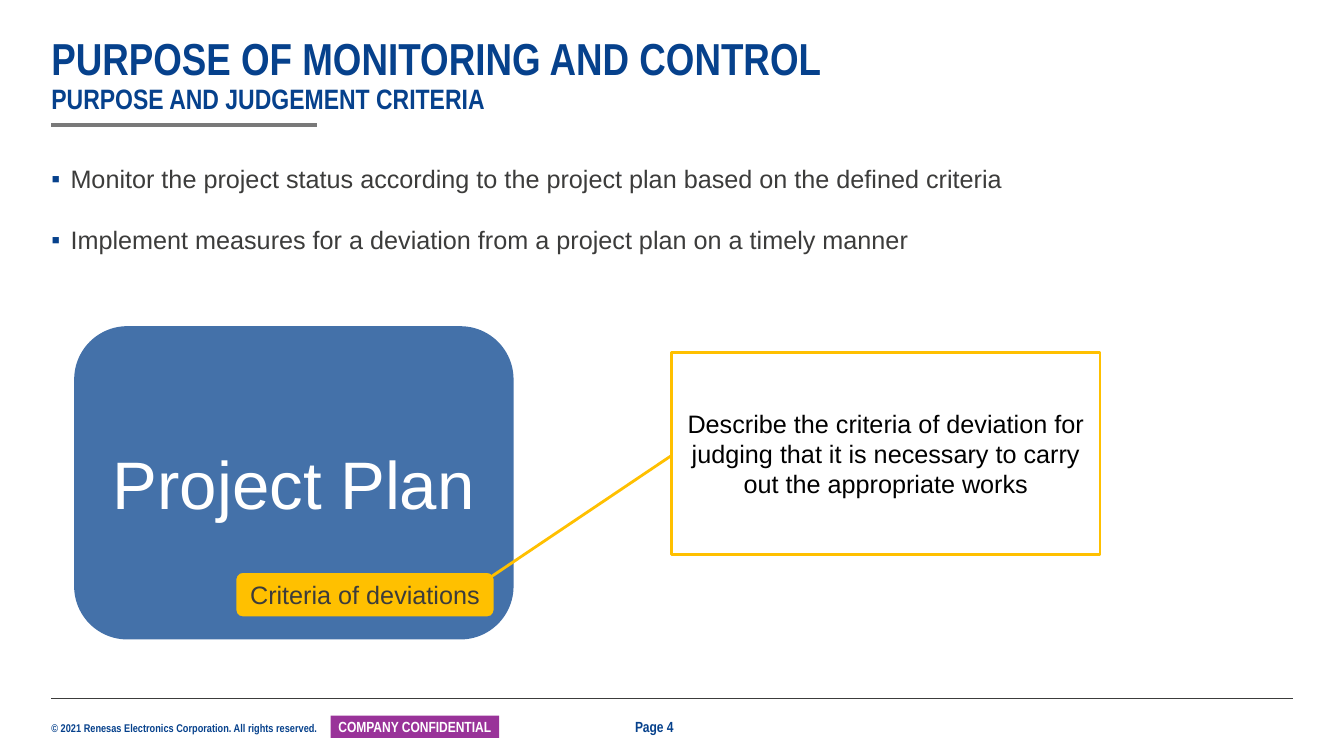
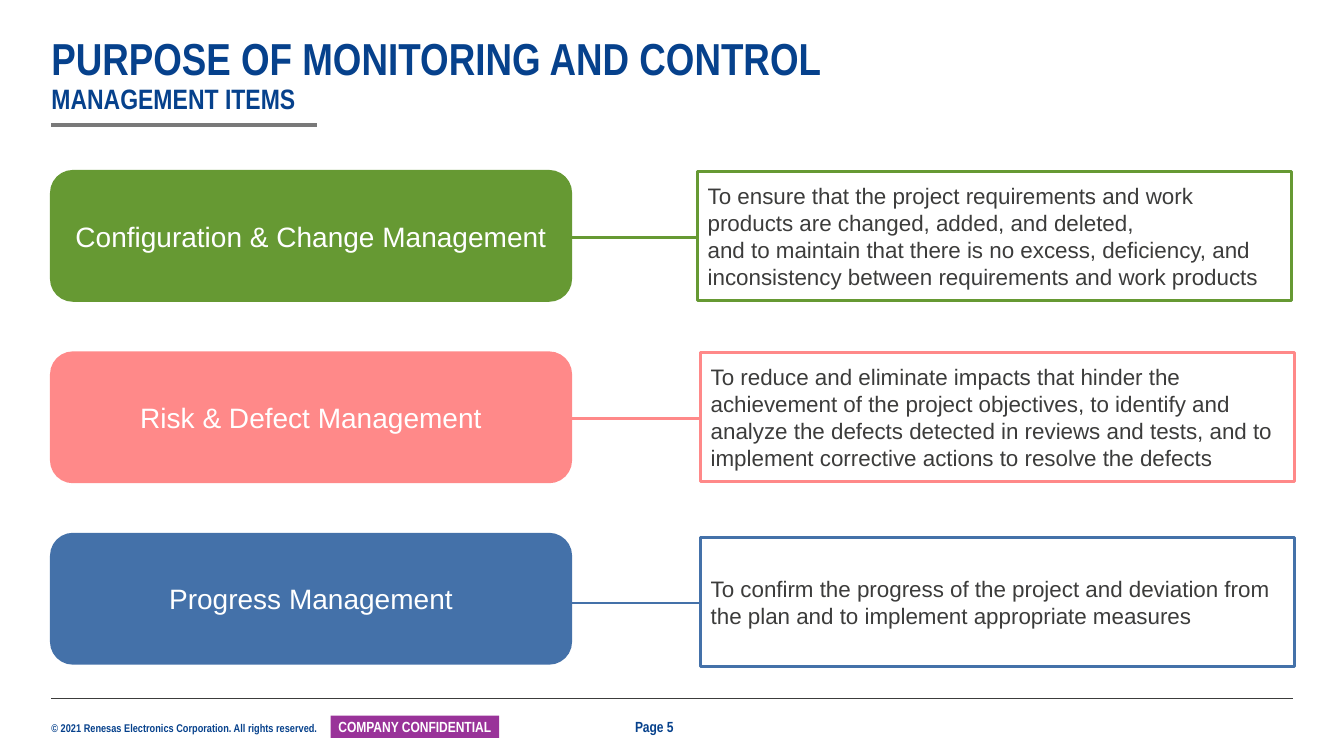
from dataclasses import dataclass
from typing import Optional

from lxml.etree import SubElement
from pptx import Presentation
from pptx.dml.color import RGBColor
from pptx.enum.shapes import MSO_CONNECTOR, MSO_SHAPE
from pptx.enum.text import MSO_ANCHOR, PP_ALIGN
from pptx.oxml.ns import qn
from pptx.util import Pt

PX = 9144
WIDE, HIGH = 1333, 750
LEFT, SPAN = 51, 1230

NAVY = RGBColor(0x06, 0x41, 0x8C)
INK = RGBColor(0x3C, 0x3C, 0x3B)
GREY = RGBColor(0x79, 0x79, 0x79)
PLUM = RGBColor(0x99, 0x33, 0x99)
WHITE = RGBColor(0xFF, 0xFF, 0xFF)
BLACK = RGBColor(0, 0, 0)
BLUE = RGBColor(0x44, 0x71, 0xA9)
GREEN = RGBColor(0x66, 0x99, 0x33)
PINK = RGBColor(0xFF, 0x89, 0x89)
GOLD = RGBColor(0xFF, 0xC0, 0x00)

SANS, SLIM = "Arial", "Arial Narrow"
ROUND, NOTE = MSO_SHAPE.ROUNDED_RECTANGLE, MSO_SHAPE.LINE_CALLOUT_1


@dataclass(frozen=True)
class Box:
    x: int
    y: int
    w: int
    h: int

    def place(self) -> tuple[int, ...]:
        return tuple(n * PX for n in (self.x, self.y, self.w, self.h))


@dataclass(frozen=True)
class Item:
    name: str
    goal: str
    tint: RGBColor
    x: int
    drop: int = 0


ITEMS = (
    Item("Configuration & Change Management",
         "To ensure that the project requirements and work products are "
         "changed, added, and deleted,\n"
         "and to maintain that there is no excess, deficiency, and "
         "inconsistency between requirements and work products",
         GREEN, 692),
    Item("Risk & Defect Management",
         "To reduce and eliminate impacts that hinder the achievement of the "
         "project objectives, to identify and analyze the defects detected in "
         "reviews and tests, and to implement corrective actions to resolve "
         "the defects",
         PINK, 695),
    Item("Progress Management",
         "To confirm the progress of the project and deviation from the plan "
         "and to implement appropriate measures",
         BLUE, 695, 3),
)


def mark(par, sign: str, tint: RGBColor, dent: int) -> None:
    props = par._p.get_or_add_pPr()
    props.set("marL", str(dent * PX))
    props.set("indent", str(-dent * PX))
    hue = SubElement(props, qn("a:buClr"))
    SubElement(hue, qn("a:srgbClr")).set("val", str(tint))
    SubElement(props, qn("a:buFont")).set("typeface", SANS)
    SubElement(props, qn("a:buChar")).set("char", sign)


def write(shape, text: str, *, size: float, tint: RGBColor, face: str = SANS,
          bold: bool = False, sub: Optional[float] = None,
          side: PP_ALIGN = PP_ALIGN.LEFT, hold: MSO_ANCHOR = MSO_ANCHOR.TOP,
          pad: tuple[int, int] = (10, 5), lead: float = 1.0, gap: int = 0,
          sign: str = "") -> None:
    frame = shape.text_frame
    frame.word_wrap = True
    frame.vertical_anchor = hold
    frame.margin_left = frame.margin_right = pad[0] * PX
    frame.margin_top = frame.margin_bottom = pad[1] * PX
    for i, part in enumerate(text.split("\n")):
        par = frame.add_paragraph() if i else frame.paragraphs[0]
        par.alignment, par.line_spacing = side, lead
        par.space_after = Pt(gap)
        if sign:
            mark(par, sign, NAVY, 19)
        for j, line in enumerate(part.split("\v")):
            if j:
                par.add_line_break()
            run = par.add_run()
            run.text = line
            font = run.font
            font.size = Pt(sub if j and sub else size)
            font.name, font.bold = face, bold
            font.color.rgb = tint


def label(slide, box: Box, text: str, **form) -> None:
    write(slide.shapes.add_textbox(*box.place()), text, **form)


def block(slide, kind: MSO_SHAPE, box: Box, text: str, *,
          fill: Optional[RGBColor] = None, edge: Optional[RGBColor] = None,
          bends: tuple[float, ...] = (), **form) -> None:
    shape = slide.shapes.add_shape(kind, *box.place())
    shape.shadow.inherit = False
    if fill is None:
        shape.fill.background()
    else:
        shape.fill.solid()
        shape.fill.fore_color.rgb = fill
    if edge is None:
        shape.line.fill.background()
    else:
        shape.line.color.rgb = edge
        shape.line.width = Pt(2)
    for i, bend in enumerate(bends):
        shape.adjustments[i] = bend
    write(shape, text, hold=MSO_ANCHOR.MIDDLE, **form)


def rule(slide, x: int, y: int, span: int, tint: RGBColor, width: float) -> None:
    line = slide.shapes.add_connector(
        MSO_CONNECTOR.STRAIGHT, x * PX, y * PX, (x + span) * PX, y * PX)
    line.line.color.rgb = tint
    line.line.width = Pt(width)
    SubElement(line._element.spPr, qn("a:effectLst"))


def start(deck, page: int, topic: str):
    slide = deck.slides.add_slide(deck.slide_layouts[6])
    slim = dict(face=SLIM, bold=True)
    label(slide, Box(LEFT, 716, 273, 13),
          "© 2021 Renesas Electronics Corporation. All rights reserved.",
          size=8, tint=NAVY, pad=(0, 0), **slim)
    rule(slide, LEFT, 693, SPAN + 1, INK, 0.5)
    block(slide, MSO_SHAPE.RECTANGLE, Box(328, 710, 167, 22),
          "COMPANY CONFIDENTIAL", fill=PLUM, size=10.5, tint=WHITE,
          side=PP_ALIGN.CENTER, pad=(4, 0), **slim)
    rule(slide, LEFT, 124, 263, GREY, 3)
    label(slide, Box(620, 707, 67, 28), f"Page {page}",
          size=10.5, tint=NAVY, **slim)
    label(slide, Box(LEFT, 36, SPAN, 79),
          f"PURPOSE OF MONITORING AND CONTROL\v{topic}",
          size=32, sub=20, tint=NAVY, pad=(0, 0), lead=0.9,
          hold=MSO_ANCHOR.BOTTOM, **slim)
    return slide


def draw_plan(deck) -> None:
    slide = start(deck, 4, "PURPOSE AND JUDGEMENT CRITERIA")
    label(slide, Box(LEFT, 156, SPAN, 95),
          "Monitor the project status according to the project plan based on "
          "the defined criteria\n"
          "Implement measures for a deviation from a project plan on a timely "
          "manner",
          size=18, tint=INK, pad=(0, 0), lead=1.2, gap=18, sign="▪")
    mid = PP_ALIGN.CENTER
    block(slide, ROUND, Box(75, 325, 433, 308), "Project Plan",
          fill=BLUE, edge=BLUE, size=48, tint=WHITE, side=mid)
    block(slide, ROUND, Box(233, 567, 258, 46), "Criteria of deviations",
          fill=GOLD, edge=BLUE, size=18, tint=INK, side=mid)
    block(slide, NOTE, Box(666, 350, 425, 200),
          "Describe the criteria of deviation for judging that it is "
          "necessary to carry out the appropriate works",
          edge=GOLD, bends=(0.51, 0, 1.11, -0.42),
          size=18, tint=BLACK, side=mid)


def draw_items(deck) -> None:
    slide = start(deck, 5, "MANAGEMENT ITEMS")
    for i, item in enumerate(ITEMS):
        top = 170 + 180 * i
        block(slide, ROUND, Box(LEFT, top, 515, 128), item.name,
              fill=item.tint, edge=item.tint, size=20, tint=WHITE,
              side=PP_ALIGN.CENTER)
        block(slide, NOTE, Box(item.x, top + item.drop, 589, 128), item.goal,
              edge=item.tint, bends=(0.51, 0, 0.51, -0.22),
              size=16, tint=INK)


def main() -> None:
    deck = Presentation()
    deck.slide_width, deck.slide_height = WIDE * PX, HIGH * PX
    draw_plan(deck)
    draw_items(deck)
    deck.save("out.pptx")


if __name__ == "__main__":
    main()
